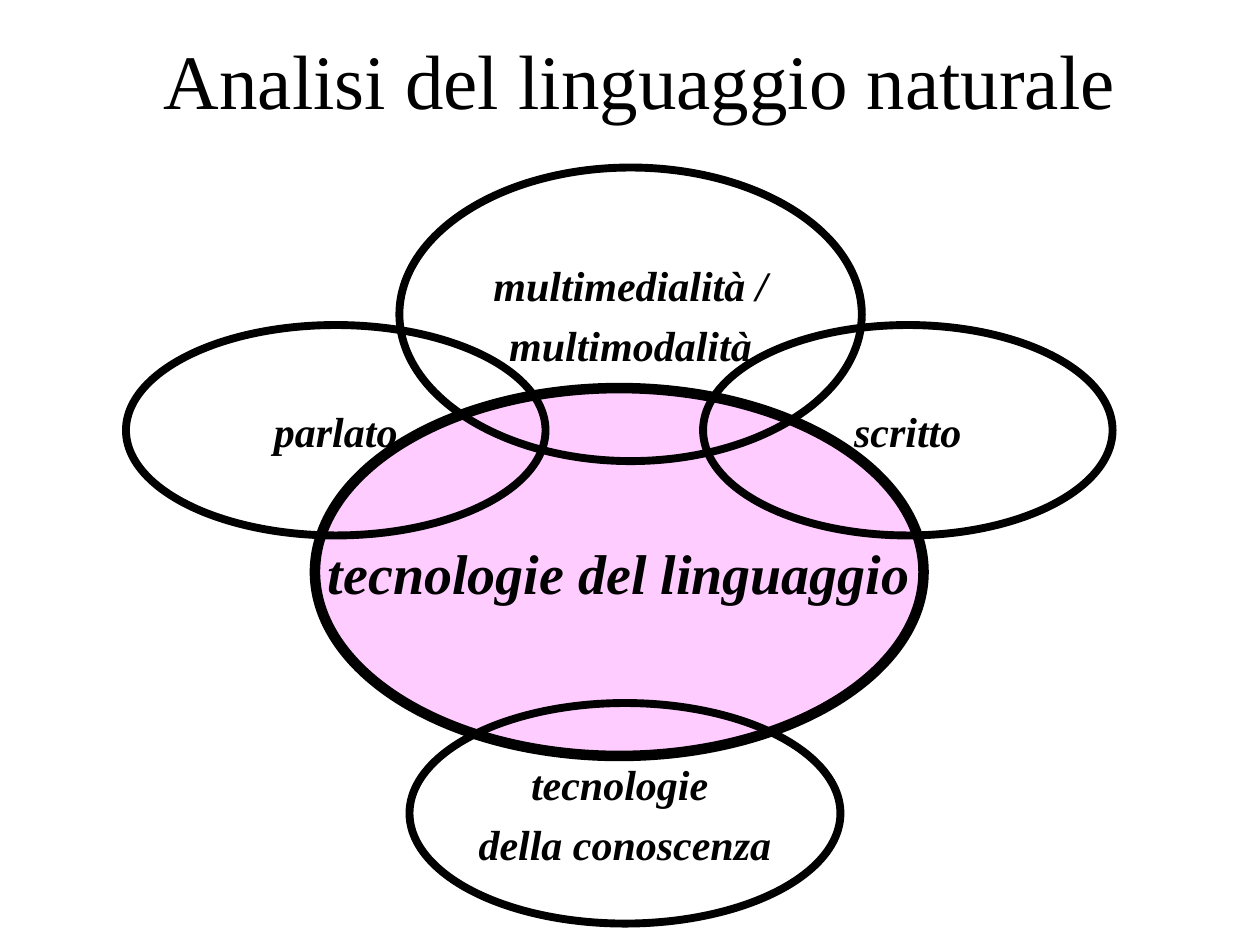
from pptx import Presentation
from pptx.dml.color import RGBColor
from pptx.enum.shapes import MSO_SHAPE
from pptx.enum.text import MSO_ANCHOR, PP_ALIGN
from pptx.util import Inches, Pt

COLORS = {"ink": "000000", "core": "FFCCFF"}
FONT = "Times New Roman"
TITLE = ("Analisi del linguaggio naturale", (0.83, 0, 8.5, 1.25))
CORE_STYLE = {"size": 32, "outline": 6, "fill": "core"}
FIELD_STYLE = {"size": 24, "outline": 4.5, "fill": None}
FIELDS = [
    (["tecnologie del linguaggio"], (2.5, 3.08, 4.83, 2.92), CORE_STYLE),
    (["multimedialità /", "multimodalità"], (3.17, 1.33, 3.67, 2.33), FIELD_STYLE),
    (["scritto"], (5.58, 2.58, 3.25, 1.67), FIELD_STYLE),
    (["parlato"], (1, 2.58, 3.33, 1.67), FIELD_STYLE),
    (["tecnologie ", "della conoscenza"], (3.25, 5.58, 3.42, 1.75), FIELD_STYLE),
]
SPACE_SHARE = 0.23


def color(name):
    return RGBColor.from_string(COLORS[name])


def assign(target, values):
    for key, value in values.items():
        setattr(target, key, value)


def write(frame, lines, size, wrap, emphasis=None, space=0):
    assign(frame, {"word_wrap": wrap, "vertical_anchor": MSO_ANCHOR.MIDDLE})
    for index, line in enumerate(lines):
        paragraph = frame.add_paragraph() if index else frame.paragraphs[0]
        assign(paragraph, {"alignment": PP_ALIGN.CENTER, "space_before": Pt(space)})
        run = paragraph.add_run()
        run.text = line
        assign(run.font, {"name": FONT, "size": Pt(size), "bold": emphasis, "italic": emphasis})
        run.font.color.rgb = color("ink")


deck = Presentation()
assign(deck, {"slide_width": Inches(10), "slide_height": Inches(7.5)})
slide = deck.slides.add_slide(deck.slide_layouts[5])

heading, heading_box = TITLE
title = slide.shapes.title
assign(title, dict(zip(("left", "top", "width", "height"), map(Inches, heading_box))))
write(title.text_frame, [heading], 44, True)

for lines, box, style in FIELDS:
    field = slide.shapes.add_shape(MSO_SHAPE.OVAL, *map(Inches, box))
    field.shadow.inherit = False
    if style["fill"]:
        field.fill.solid()
        field.fill.fore_color.rgb = color(style["fill"])
    else:
        field.fill.background()
    field.line.color.rgb = color("ink")
    field.line.width = Pt(style["outline"])
    size = style["size"]
    write(field.text_frame, lines, size, False, True, round(size * SPACE_SHARE, 1))

deck.save("out.pptx")
